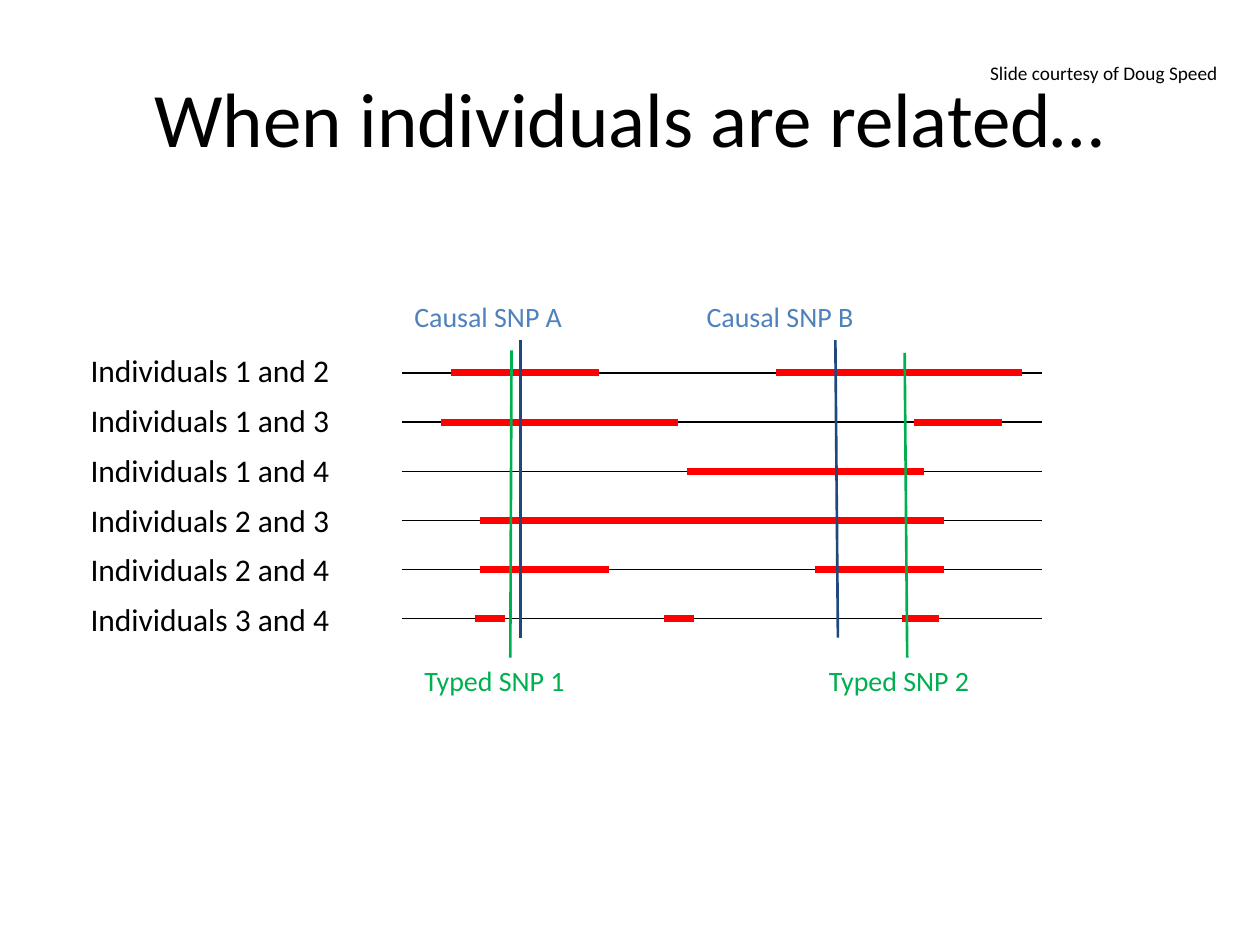
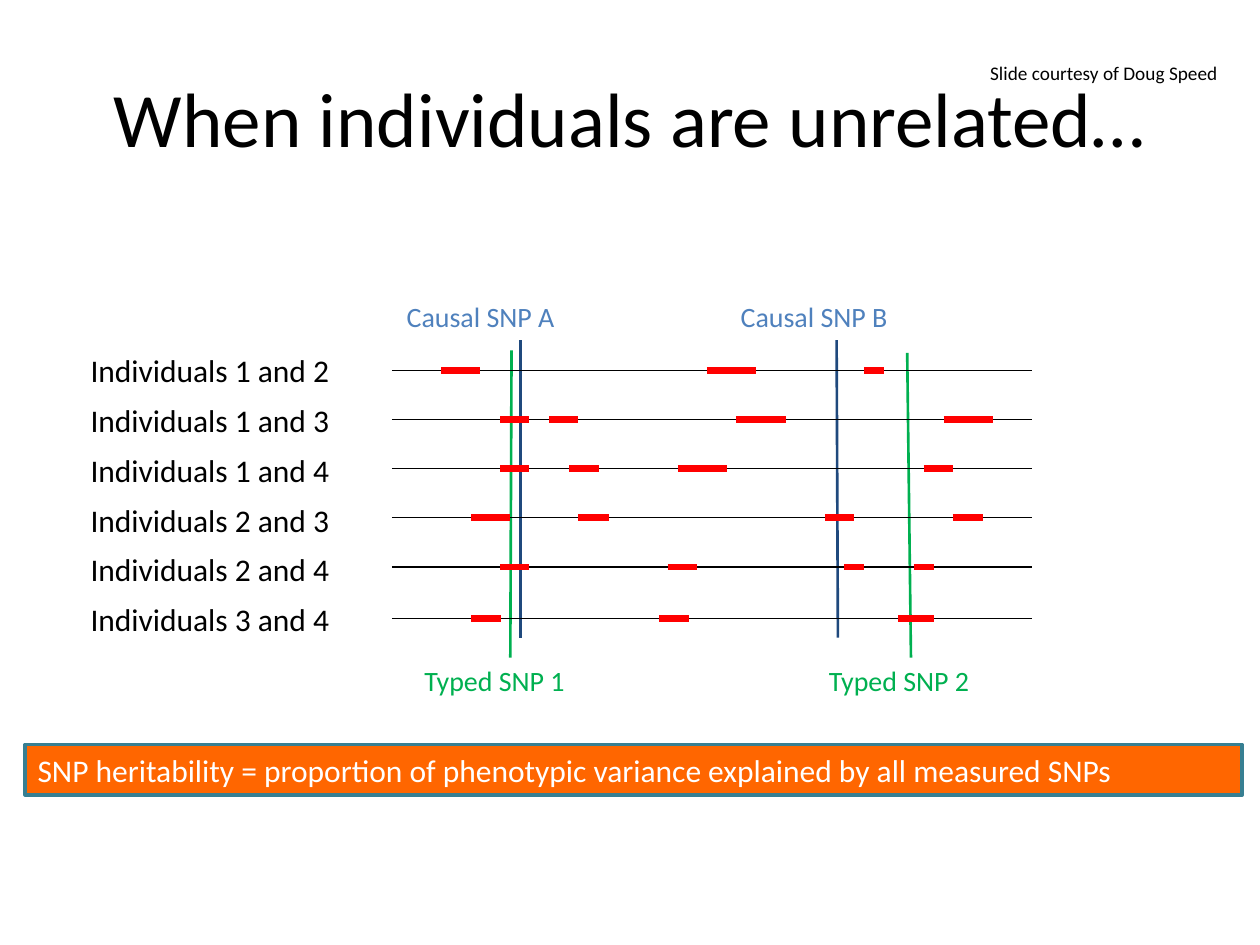
from lxml import etree
from pptx import Presentation
from pptx import util as u
from pptx.dml.color import RGBColor
from pptx.enum import shapes, text
from pptx.oxml.ns import qn

# Shared style
FONT = "Calibri"
BLACK, WHITE, RED = "000000", "FFFFFF", "FF0000"
GREEN, NAVY, BLUE = "00B050", "1F497D", "4F81BD"
ORANGE, TEAL = "FF6600", "377F92"
PAIRS = ["1 and 2", "1 and 3", "1 and 4", "2 and 3", "2 and 4", "3 and 4"]
ROW_GAP, LAST_ROW, TRACK_LENGTH = 0.39, 4.91, 5.08


def color(hex_string):
    return RGBColor.from_string(hex_string)


def write(shape, lines, size, hex_string, align=text.PP_ALIGN.LEFT,
          anchor=text.MSO_ANCHOR.TOP, gap=0):
    frame = shape.text_frame
    frame.word_wrap = True
    frame.vertical_anchor = anchor
    for index, line in enumerate(lines):
        paragraph = frame.add_paragraph() if index else frame.paragraphs[0]
        paragraph.alignment = align
        if index:
            paragraph.space_before = u.Pt(gap)
        run = paragraph.add_run()
        run.text = line
        run.font.name, run.font.size = FONT, u.Pt(size)
        run.font.color.rgb = color(hex_string)


# Shared red segments are (start, end) pairs, one list for each pair of individuals
slides = [
    {"title": "When individuals are related…",
     "track_left": 3.19, "first_row": 2.96, "markers_in_front": True,
     "causal_labels": [(3.19, 1.97), (5.51, 2.24)],
     "causal_b_top": 6.63, "typed_2": (7.18, 7.2),
     "segments": [[(3.58, 4.75), (6.16, 8.11)],
                  [(3.5, 5.38), (7.25, 7.95)],
                  [(5.45, 7.33)],
                  [(3.81, 7.49)],
                  [(3.81, 4.83), (6.47, 7.49)],
                  [(3.77, 4.01), (5.27, 5.51), (7.16, 7.45)]],
     "banner": None},
    {"title": "When individuals are unrelated…",
     "track_left": 3.11, "first_row": 2.94, "markers_in_front": False,
     "causal_labels": [(3.13, 1.64), (5.78, 1.72)],
     "causal_b_top": 6.64, "typed_2": (7.2, 7.23),
     "segments": [[(3.5, 3.81), (5.61, 6), (6.86, 7.02)],
                  [(3.97, 4.2), (4.36, 4.59), (5.84, 6.24), (7.49, 7.88)],
                  [(3.97, 4.2), (4.52, 4.75), (5.38, 5.77), (7.33, 7.56)],
                  [(3.74, 4.05), (4.59, 4.83), (6.55, 6.78), (7.56, 7.8)],
                  [(3.97, 4.2), (5.3, 5.53), (6.7, 6.86), (7.25, 7.41)],
                  [(3.74, 3.98), (5.23, 5.47), (7.13, 7.41)]],
     "banner": "SNP heritability = proportion of phenotypic variance "
               "explained by all measured SNPs"},
]

presentation = Presentation()
presentation.slide_width, presentation.slide_height = u.Inches(10), u.Inches(7.5)

for content in slides:
    slide = presentation.slides.add_slide(presentation.slide_layouts[6])

    # Title
    title = slide.shapes.add_textbox(u.Inches(0.5), u.Inches(0.3), u.Inches(9), u.Inches(1.25))
    write(title, [content["title"]], 44, BLACK,
          text.PP_ALIGN.CENTER, text.MSO_ANCHOR.MIDDLE)

    # Row labels
    row_labels = slide.shapes.add_textbox(u.Inches(0.62), u.Inches(2.74),
                                          u.Inches(2.29), u.Inches(2.64))
    write(row_labels, [f"Individuals {pair}" for pair in PAIRS], 18, BLACK, gap=6.8)

    # Genome tracks with their shared segments: x1, y1, x2, y2, colour, width
    row_heights = [content["first_row"] + ROW_GAP * row for row in range(5)] + [LAST_ROW]
    left = content["track_left"]
    tracks = []
    for y, segments in zip(row_heights, content["segments"]):
        tracks.append((left, y, left + TRACK_LENGTH, y, BLACK, 0.75))
        tracks += [(start, y, end, y, RED, 4) for start, end in segments]

    # SNP markers
    typed_top, typed_bottom = content["typed_2"]
    markers = [
        (4.06, 2.78, 4.05, 5.22, GREEN, 1.5),
        (typed_top, 2.8, typed_bottom, 5.22, GREEN, 1.5),
        (content["causal_b_top"], 2.7, 6.65, 5.06, NAVY, 1.5),
        (4.13, 2.7, 4.13, 5.06, NAVY, 1.5),
    ]

    # Lines, from back to front
    lines = tracks + markers if content["markers_in_front"] else markers + tracks
    for x1, y1, x2, y2, line_color, width in lines:
        connector = slide.shapes.add_connector(
            shapes.MSO_CONNECTOR.STRAIGHT,
            u.Inches(x1), u.Inches(y1), u.Inches(x2), u.Inches(y2))
        connector.line.color.rgb = color(line_color)
        connector.line.width = u.Pt(width)
        etree.SubElement(connector._element.spPr, qn("a:effectLst"))

    # SNP labels and credit
    (a_left, a_width), (b_left, b_width) = content["causal_labels"]
    for label, x, y, width, size, label_color in [
        ("Typed SNP 1", 3.27, 5.22, 1.56, 16, GREEN),
        ("Typed SNP 2", 6.48, 5.22, 1.72, 16, GREEN),
        ("Causal SNP A", a_left, 2.33, a_width, 16, BLUE),
        ("Causal SNP B", b_left, 2.33, b_width, 16, BLUE),
        ("Slide courtesy of Doug Speed", 7.76, 0.44, 2.24, 11, BLACK),
    ]:
        box = slide.shapes.add_textbox(u.Inches(x), u.Inches(y), u.Inches(width),
                                       u.Inches(0.37 if size == 16 else 0.29))
        write(box, [label], size, label_color)

    # Conclusion banner
    if content["banner"]:
        banner = slide.shapes.add_shape(shapes.MSO_SHAPE.RECTANGLE, u.Inches(0.2),
                                        u.Inches(5.91), u.Inches(9.66), u.Inches(0.4))
        banner.shadow.inherit = False
        banner.fill.solid()
        banner.fill.fore_color.rgb = color(ORANGE)
        banner.line.color.rgb = color(TEAL)
        banner.line.width = u.Pt(2)
        write(banner, [content["banner"]], 18, WHITE)

presentation.save("out.pptx")
